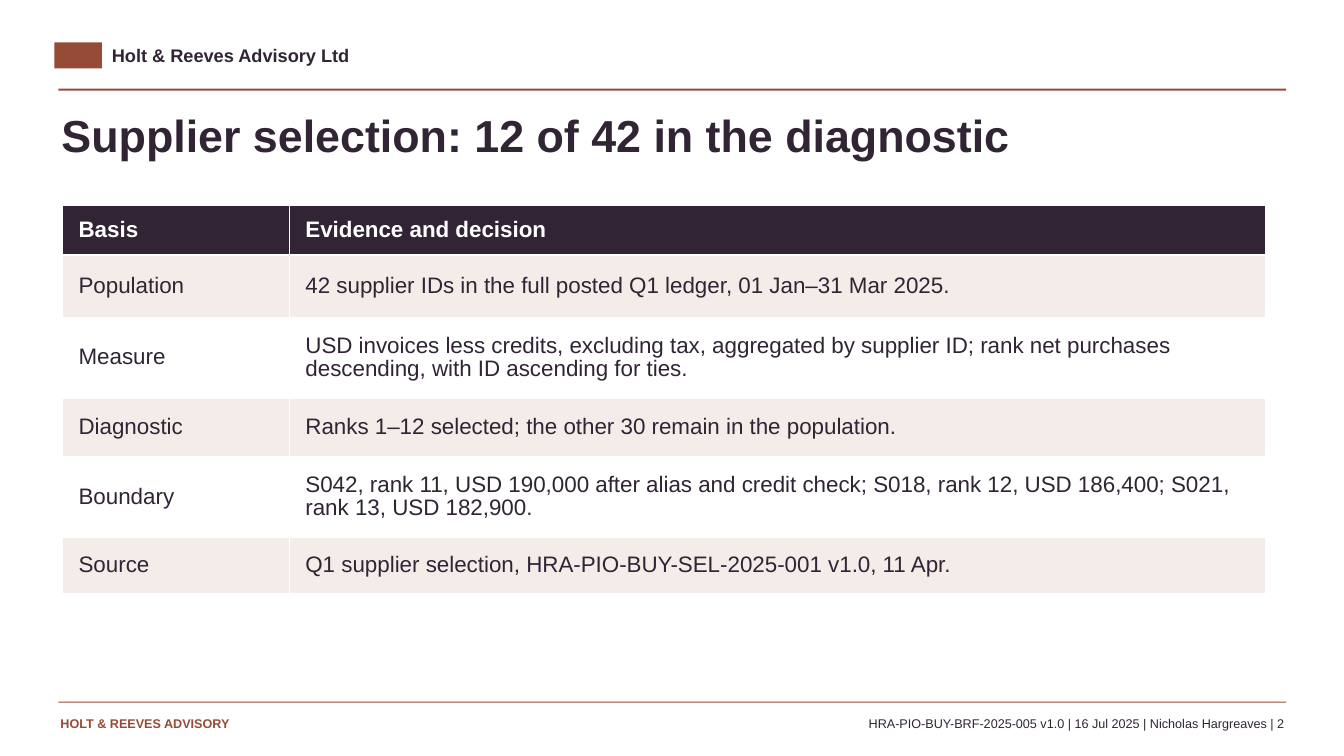
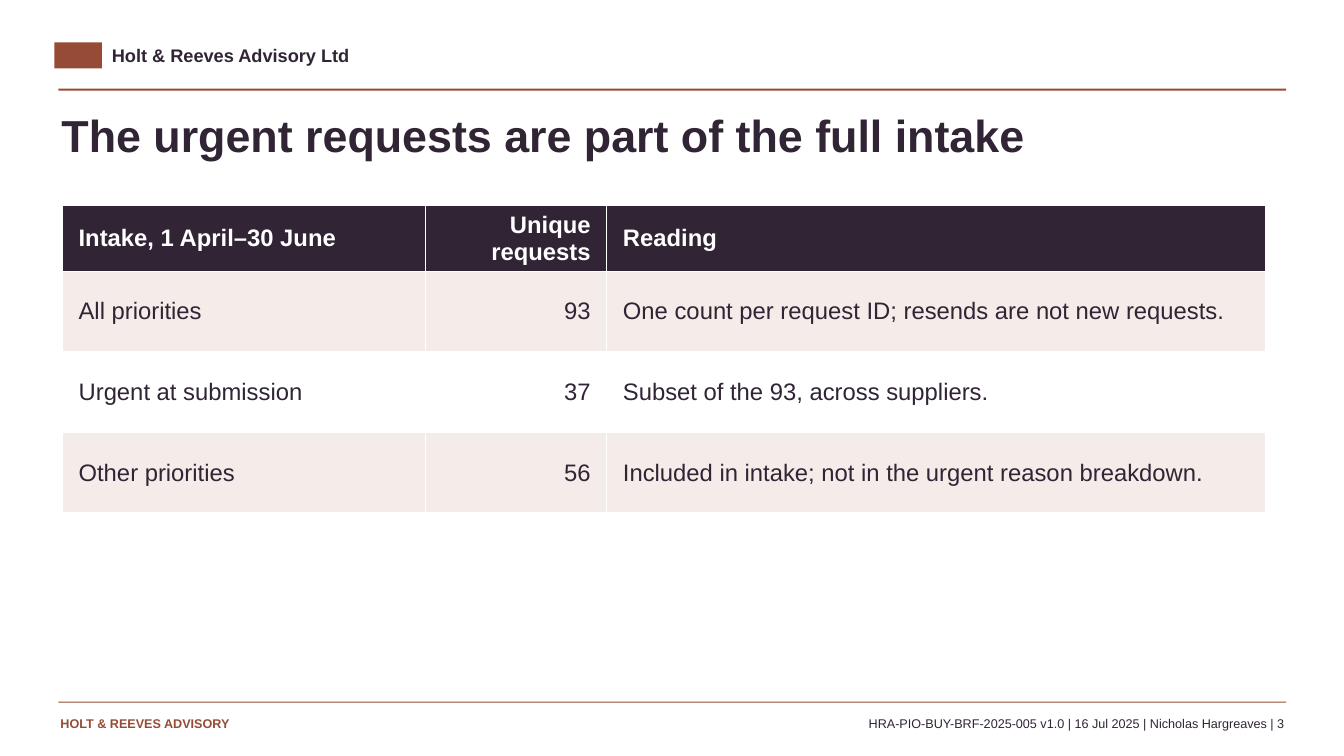
from pptx import Presentation
from pptx.dml.color import RGBColor
from pptx.enum.shapes import MSO_SHAPE as Shape
from pptx.enum.text import MSO_ANCHOR as Anchor, MSO_AUTO_SIZE as AutoSize, PP_ALIGN as Align
from pptx.util import Inches, Pt

COLORS = {"ink": "302435", "rust": "964B37", "blush": "F4ECE8", "white": "FFFFFF"}
FONT = "Arial"
COLUMNS, ROWS = 80, 45
TITLE_ONLY = 5
TABLE_LEFT, TABLE_TOP, TABLE_WIDTH = 3.72, 12.24, 71.64
RULE_LEFT, RULE_WIDTH = 3.48, 73.08
FOOTER_TOP = 42.6


def color(name):
    return RGBColor.from_string(COLORS[name])


class Deck:
    """Holds the style and the current slide; lengths are grid columns and rows."""

    def __init__(self):
        self.presentation = Presentation()
        self.presentation.slide_width = Inches(40 / 3)
        self.presentation.slide_height = Inches(7.5)
        self.slide = None

    def across(self, columns):
        return round(self.presentation.slide_width * columns / COLUMNS)

    def down(self, rows):
        return round(self.presentation.slide_height * rows / ROWS)

    def box(self, left, top, width, height):
        return self.across(left), self.down(top), self.across(width), self.down(height)

    def set_text(self, text_frame, text, size, color_name, bold=False, align=Align.LEFT, spacing=1.0):
        text_frame.text = text
        text_frame.word_wrap = True
        paragraph = text_frame.paragraphs[0]
        paragraph.alignment = align
        paragraph.line_spacing = spacing
        font = paragraph.runs[0].font
        font.name, font.size, font.bold = FONT, Pt(size), bold
        font.color.rgb = color(color_name)

    def clear_margins(self, text_frame):
        text_frame.margin_left = text_frame.margin_right = 0
        text_frame.margin_top = text_frame.margin_bottom = 0
        text_frame.vertical_anchor = Anchor.TOP
        text_frame.auto_size = AutoSize.NONE

    def block(self, left, top, width, height, color_name):
        shape = self.slide.shapes.add_shape(Shape.RECTANGLE, *self.box(left, top, width, height))
        shape.shadow.inherit = False
        shape.fill.solid()
        shape.fill.fore_color.rgb = color(color_name)
        shape.line.fill.background()

    def label(self, left, top, width, height, text, size, color_name, **style):
        text_frame = self.slide.shapes.add_textbox(*self.box(left, top, width, height)).text_frame
        self.clear_margins(text_frame)
        self.set_text(text_frame, text, size, color_name, **style)

    def title(self, text):
        shape = self.slide.shapes.title
        shape.left, shape.top, shape.width, shape.height = self.box(3.66, 6.42, 72, 4.68)
        self.clear_margins(shape.text_frame)
        self.set_text(shape.text_frame, text, 32, "ink", bold=True)

    def new_slide(self, title, number):
        """Start a slide with its header, title and footer."""
        layout = self.presentation.slide_layouts[TITLE_ONLY]
        self.slide = self.presentation.slides.add_slide(layout)
        self.block(3.24, 2.52, 2.82, 1.56, "rust")
        self.label(6.66, 2.64, 36, 1.62, "Holt & Reeves Advisory Ltd", 13, "ink", bold=True)
        self.block(RULE_LEFT, 5.28, RULE_WIDTH, 0.12, "rust")
        self.block(RULE_LEFT, 41.76, RULE_WIDTH, 0.06, "rust")
        self.label(3.6, FOOTER_TOP, 20.4, 1.5, "HOLT & REEVES ADVISORY", 9, "rust", bold=True)
        reference = f"HRA-PIO-BUY-BRF-2025-005 v1.0 | 16 Jul 2025 | Nicholas Hargreaves | {number}"
        self.label(24.72, FOOTER_TOP, 51.72, 1.32, reference, 9, "ink", align=Align.RIGHT)
        self.title(title)

    def table(self, records, widths, heights, size, right_columns=(), spacing=1.0):
        """Add a banded table whose last column takes the width left over."""
        widths = [*widths, TABLE_WIDTH - sum(widths)]
        frame = self.slide.shapes.add_table(
            len(heights), len(widths), *self.box(TABLE_LEFT, TABLE_TOP, TABLE_WIDTH, sum(heights)))
        table = frame.table
        for column, width in zip(table.columns, widths):
            column.width = self.across(width)
        for row_index, (row, height, record) in enumerate(zip(table.rows, heights, records)):
            row.height = self.down(height)
            header = row_index == 0
            fill = "ink" if header else ("white", "blush")[row_index % 2]
            for column_index, (cell, text) in enumerate(zip(row.cells, record)):
                cell.fill.solid()
                cell.fill.fore_color.rgb = color(fill)
                cell.vertical_anchor = Anchor.MIDDLE
                cell.margin_left = cell.margin_right = Inches(0.16)
                cell.margin_top = cell.margin_bottom = Inches(0.04)
                align = Align.RIGHT if column_index in right_columns else Align.LEFT
                self.set_text(cell.text_frame, text, size, "white" if header else "ink",
                              bold=header, align=align, spacing=spacing)


SELECTION = [
    ("Basis", "Evidence and decision"),
    ("Population", "42 supplier IDs in the full posted Q1 ledger, 01 Jan–31 Mar 2025."),
    ("Measure", "USD invoices less credits, excluding tax, aggregated by supplier ID; "
                "rank net purchases descending, with ID ascending for ties."),
    ("Diagnostic", "Ranks 1–12 selected; the other 30 remain in the population."),
    ("Boundary", "S042, rank 11, USD 190,000 after alias and credit check; "
                 "S018, rank 12, USD 186,400; S021, rank 13, USD 182,900."),
    ("Source", "Q1 supplier selection, HRA-PIO-BUY-SEL-2025-001 v1.0, 11 Apr."),
]
INTAKE = [
    ("Intake, 1 April–30 June", "Unique requests", "Reading"),
    ("All priorities", "93", "One count per request ID; resends are not new requests."),
    ("Urgent at submission", "37", "Subset of the 93, across suppliers."),
    ("Other priorities", "56", "Included in intake; not in the urgent reason breakdown."),
]


def main():
    deck = Deck()
    deck.new_slide("Supplier selection: 12 of 42 in the diagnostic", 2)
    deck.table(SELECTION, [13.5], [2.94, 3.72, 4.8, 3.48, 4.8, 3.36], 16, spacing=0.95)
    deck.new_slide("The urgent requests are part of the full intake", 3)
    deck.table(INTAKE, [21.6, 10.8], [3.9] + [4.8] * 3, 17, right_columns=(1,))
    deck.presentation.save("out.pptx")


if __name__ == "__main__":
    main()
